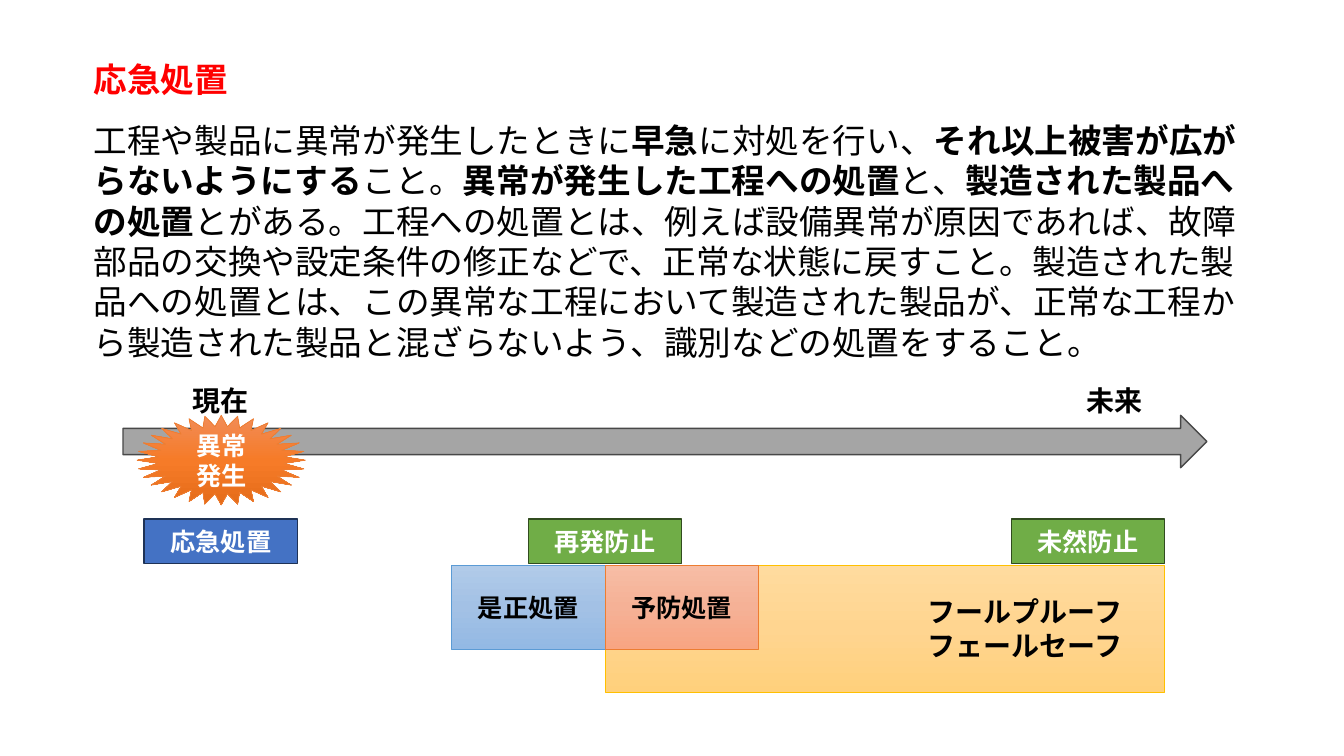
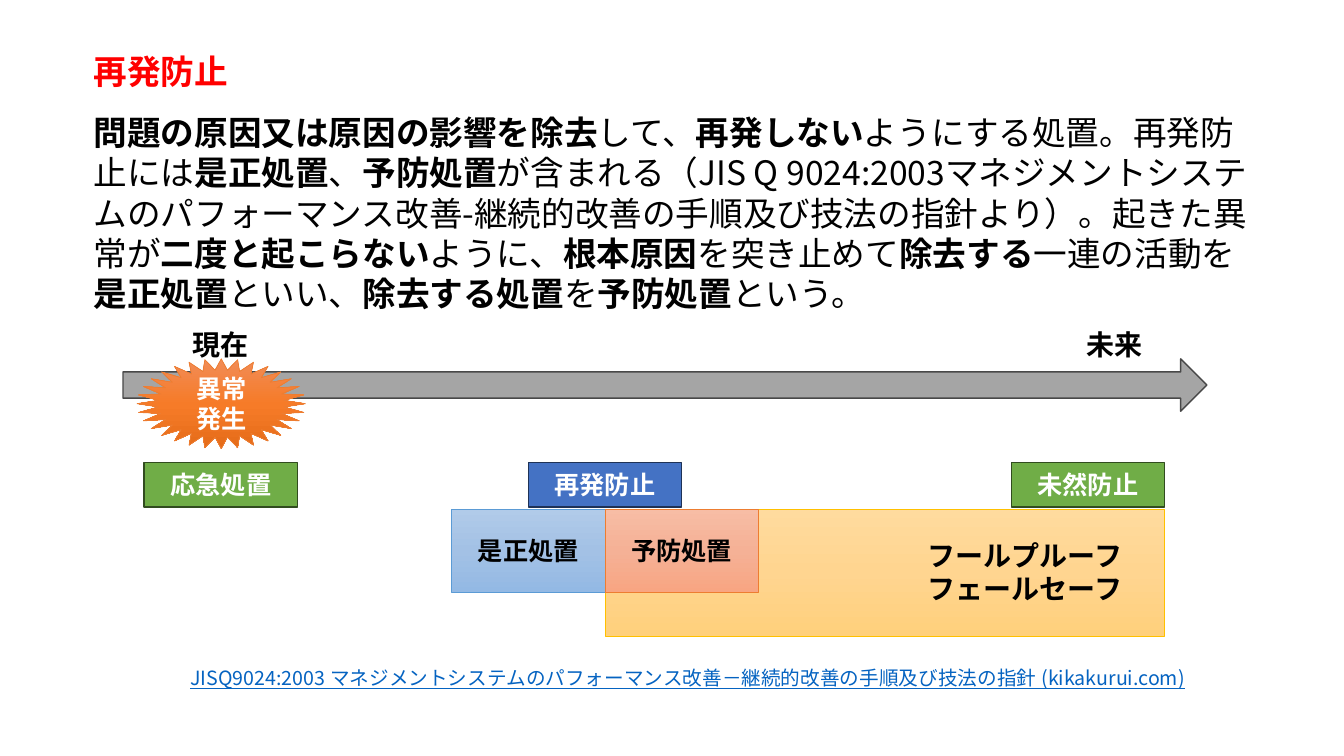
from copy import deepcopy

from lxml import etree
from pptx import Presentation
from pptx.dml.color import RGBColor
from pptx.enum.lang import MSO_LANGUAGE_ID as Lang
from pptx.enum.shapes import MSO_SHAPE as Shape
from pptx.enum.text import MSO_ANCHOR as Anchor, PP_ALIGN as Align
from pptx.oxml.ns import qn
from pptx.util import Inches, Pt

FONT = "Noto Sans CJK JP"
BLACK = RGBColor(0x00, 0x00, 0x00)
WHITE = RGBColor(0xFF, 0xFF, 0xFF)
RED = RGBColor(0xFF, 0x00, 0x00)
LINK_BLUE = RGBColor(0x05, 0x63, 0xC1)
GRAY = RGBColor(0xA5, 0xA5, 0xA5)
DARK_GRAY = RGBColor(0x48, 0x48, 0x48)
BLUE = RGBColor(0x44, 0x72, 0xC4)
DARK_BLUE = RGBColor(0x1E, 0x32, 0x56)
GREEN = RGBColor(0x70, 0xAD, 0x47)
DARK_GREEN = RGBColor(0x31, 0x4C, 0x1F)
ORANGE = RGBColor(0xED, 0x7D, 0x31)
SKY = RGBColor(0x5B, 0x9B, 0xD5)
GOLD = RGBColor(0xFF, 0xC0, 0x00)

# Gradients from top to bottom
ORANGE_FADE = (RGBColor(0xF1, 0x8C, 0x57), RGBColor(0xF6, 0x7B, 0x28), RGBColor(0xE5, 0x6C, 0x19))
SKY_FADE = (RGBColor(0xB1, 0xCB, 0xE9), RGBColor(0xA3, 0xC1, 0xE5), RGBColor(0x93, 0xB9, 0xE4))
SALMON_FADE = (RGBColor(0xF7, 0xBD, 0xA5), RGBColor(0xF5, 0xB1, 0x96), RGBColor(0xF8, 0xA5, 0x82))
GOLD_FADE = (RGBColor(0xFF, 0xDB, 0x9E), RGBColor(0xFF, 0xD5, 0x90), RGBColor(0xFF, 0xD0, 0x7C))

STAGES = (("応急処置", 1.43), ("再発防止", 5.24), ("未然防止", 10.03))
STAGE_W = 1.52

# Bold passages stand between ** marks
EMERGENCY_TEXT = (
    "工程や製品に異常が発生したときに**早急**に対処を行い、"
    "**それ以上被害が広がらないようにする**こと。**異常が発生した工程への処置**と、"
    "**製造された製品への処置**とがある。工程への処置とは、例えば設備異常が原因であれば、"
    "故障部品の交換や設定条件の修正などで、正常な状態に戻すこと。製造された製品への処置とは、"
    "この異常な工程において製造された製品が、正常な工程から製造された製品と混ざらないよう、"
    "識別などの処置をすること。"
)
RECURRENCE_TEXT = (
    "**問題の原因又は原因の影響を除去**して、**再発しない**ようにする処置。"
    "再発防止には**是正処置**、**予防処置**が含まれる（JIS Q 9024:2003"
    "マネジメントシステムのパフォーマンス改善-継続的改善の手順及び技法の指針より）。"
    "起きた異常が**二度と起こらない**ように、**根本原因**を突き止めて**除去する**"
    "一連の活動を**是正処置**といい、**除去する処置**を**予防処置**という。"
)
SOURCE_TEXT = (
    "JISQ9024:2003 マネジメントシステムのパフォーマンス改善"
    "－継続的改善の手順及び技法の指針 (kikakurui.com)"
)


def write(paragraph, text, size=20, color=BLACK, bold=True, underline=False,
          align=Align.LEFT, before=0):
    """Fill a paragraph; ** marks in the text switch bold on and off."""
    paragraph.alignment = align
    if before:
        paragraph.space_before = Pt(before)
    for index, part in enumerate(text.split("**")):
        if not part:
            continue
        run = paragraph.add_run()
        run.text = part
        font = run.font
        font.size, font.name = Pt(size), FONT
        font.bold = bold != (index % 2 == 1)
        font.color.rgb = color
        font.language_id = Lang.JAPANESE
        if underline:
            font.underline = True
        latin = font._element.find(qn("a:latin"))
        east_asian = etree.Element(qn("a:ea"), typeface=FONT)
        latin.addnext(east_asian)


def add_text(slide, box, *lines, **style):
    frame = slide.shapes.add_textbox(*map(Inches, box)).text_frame
    frame.word_wrap = True
    for index, line in enumerate(lines):
        write(frame.add_paragraph() if index else frame.paragraphs[0], line, **style)
    return frame


def paint_gradient(fill, colors):
    fill.gradient()
    fill.gradient_angle = 270
    first = fill.gradient_stops[0]._gs
    first.addnext(deepcopy(first))
    for index, (stop, color) in enumerate(zip(fill.gradient_stops, colors)):
        stop.position = index / 2
        stop.color.rgb = color


def add_block(slide, kind, box, fill, line, line_width=1, text="", color=WHITE):
    block = slide.shapes.add_shape(kind, *map(Inches, box))
    block.shadow.inherit = False
    if isinstance(fill, tuple) and not isinstance(fill, RGBColor):
        paint_gradient(block.fill, fill)
    else:
        block.fill.solid()
        block.fill.fore_color.rgb = fill
    block.line.color.rgb = line
    block.line.width = Pt(line_width)
    if text:
        frame = block.text_frame
        frame.word_wrap = True
        frame.vertical_anchor = Anchor.MIDDLE
        write(frame.paragraphs[0], text, size=18, color=color, align=Align.CENTER)


def add_definition(slide, box, term, meaning):
    frame = add_text(slide, box, term, size=24, color=RED)
    write(frame.add_paragraph(), meaning, size=24, bold=False, before=14.4)


def add_timeline(slide, top, current):
    """Time arrow with its stages; the current stage is blue."""
    arrow_top, stage_top, scope_top = top + 0.36, top + 1.39, top + 1.85
    corrective_left = 4.48
    preventive_left = corrective_left + STAGE_W

    # Scope of prevention, behind everything else
    add_block(slide, Shape.RECTANGLE, (preventive_left, scope_top, 5.55, 1.26),
              GOLD_FADE, GOLD, 0.5)

    # Time axis
    add_block(slide, Shape.RIGHT_ARROW, (1.22, arrow_top, 10.75, 0.52), GRAY, DARK_GRAY)
    add_block(slide, Shape.STAR_32_POINT, (1.36, arrow_top, 1.67, 0.89),
              ORANGE_FADE, ORANGE, 0.5, "異常発生")
    for moment, left in (("現在", 1.79), ("未来", 10.65)):
        add_text(slide, (left, top, 0.8, 0.44), moment, align=Align.CENTER)

    # Stages
    for stage, left in STAGES:
        fill, line = (BLUE, DARK_BLUE) if stage == current else (GREEN, DARK_GREEN)
        add_block(slide, Shape.RECTANGLE, (left, stage_top, STAGE_W, 0.44),
                  fill, line, text=stage)

    # Actions within the scope
    for action, left, fade, line in (
        ("是正処置", corrective_left, SKY_FADE, SKY),
        ("予防処置", preventive_left, SALMON_FADE, ORANGE),
    ):
        add_block(slide, Shape.RECTANGLE, (left, scope_top, STAGE_W, 0.83),
                  fade, line, 0.5, action, BLACK)
    add_text(slide, (8.99, top + 2.09, 2.35, 0.77), "フールプルーフ", "フェールセーフ",
             align=Align.CENTER)


def add_term_slide(deck, term, meaning, text_top, text_height, timeline_top):
    slide = deck.slides.add_slide(deck.slide_layouts[6])
    add_timeline(slide, timeline_top, term)
    add_definition(slide, (0.83, text_top, 11.68, text_height), term, meaning)
    return slide


def main():
    deck = Presentation()
    deck.slide_width, deck.slide_height = Inches(13.33), Inches(7.5)

    add_term_slide(deck, "応急処置", EMERGENCY_TEXT, 0.54, 3.13, 3.76)
    recurrence = add_term_slide(deck, "再発防止", RECURRENCE_TEXT, 0.46, 2.73, 3.2)
    add_text(recurrence, (1.79, 6.56, 10.25, 0.34), SOURCE_TEXT,
             size=14, color=LINK_BLUE, bold=False, underline=True)

    deck.save("out.pptx")


if __name__ == "__main__":
    main()
